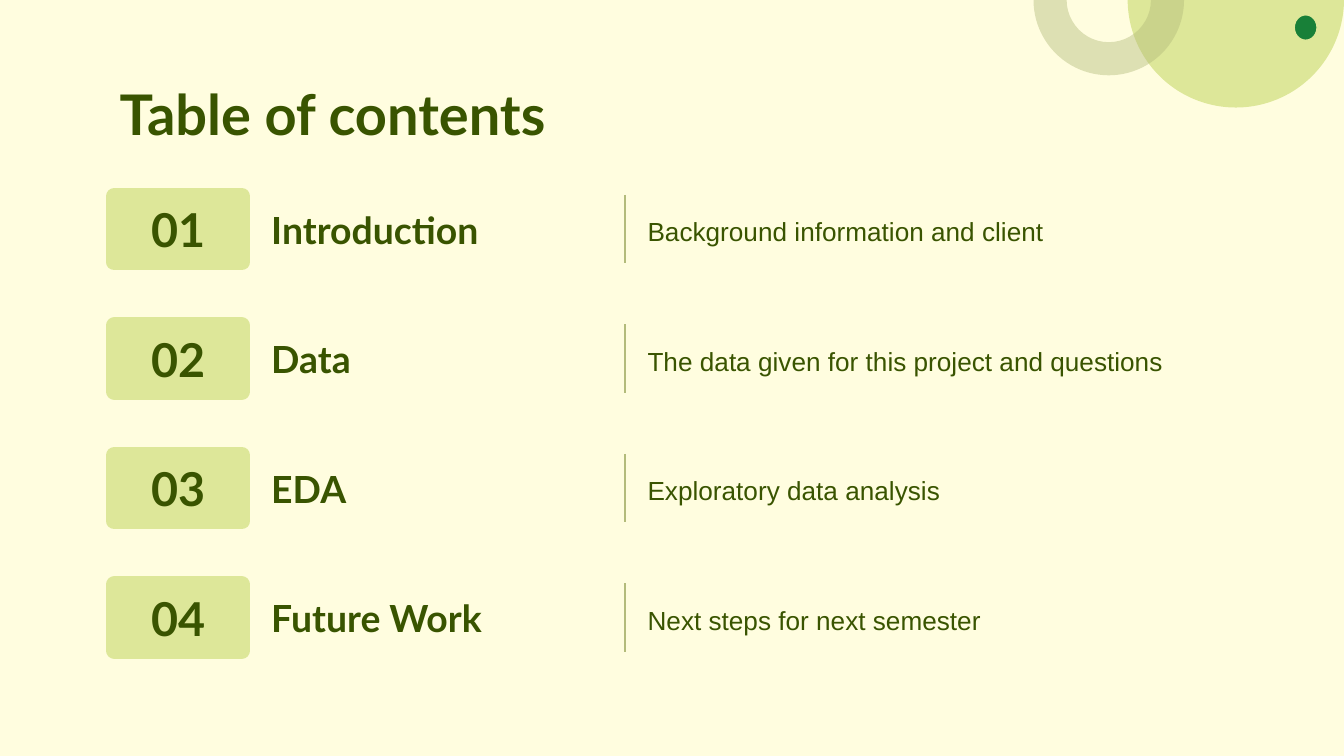
import dataclasses
import pptx
import pptx.dml.color
import pptx.enum.shapes
import pptx.enum.text
import pptx.oxml
import pptx.util

Inches = pptx.util.Inches
Pt = pptx.util.Pt
Shape = pptx.enum.shapes.MSO_SHAPE
Align = pptx.enum.text.PP_ALIGN
Anchor = pptx.enum.text.MSO_ANCHOR


@dataclasses.dataclass(frozen=True)
class Theme:
    """Colours, fonts and type sizes."""
    back: str = "FFFDDF"
    lime: str = "DDE799"
    olive: str = "B3BB7B"
    dark: str = "395400"
    green: str = "188038"
    head: str = "Lato"
    body: str = "Arial"
    title: int = 30
    number: int = 25
    topic: int = 20
    note: int = 14


THEME = Theme()
ITEMS = [
    ("Introduction", "Background information and client"),
    ("Data", "The data given for this project and questions"),
    ("EDA", "Exploratory data analysis"),
    ("Future Work", "Next steps for next semester"),
]


def rgb(code):
    """Turn a hex code into a colour."""
    return pptx.dml.color.RGBColor.from_string(code)


def make(tag, **attrs):
    """Make a drawing element."""
    item = pptx.oxml.parse_xml(
        f'<a:{tag} xmlns:a="http://schemas.openxmlformats.org/drawingml/2006/main"/>')
    for name, value in attrs.items():
        item.set(name, value)
    return item


def write(shape, text, size, face, bold=True, align=Align.LEFT, anchor=Anchor.MIDDLE):
    """Fill a shape with one styled paragraph."""
    frame = shape.text_frame
    frame.text = text
    frame.word_wrap = True
    frame.auto_size = pptx.enum.text.MSO_AUTO_SIZE.NONE
    frame.vertical_anchor = anchor
    frame.margin_left = frame.margin_right = Inches(0.1)
    frame.margin_top = frame.margin_bottom = Inches(0.1)
    line = frame.paragraphs[0]
    line.alignment = align
    line.font.name = face
    line.font.size = Pt(size)
    line.font.bold = bold
    line.font.color.rgb = rgb(THEME.dark)
    return line


def draw(slide, kind, box, fill, edge=None, width=0):
    """Add a flat shape with an optional outline."""
    shape = slide.shapes.add_shape(kind, *map(Inches, box))
    shape.shadow.inherit = False
    shape.fill.solid()
    shape.fill.fore_color.rgb = rgb(fill)
    if edge:
        shape.line.color.rgb = rgb(edge)
        shape.line.width = Pt(width)
    else:
        shape.line.fill.background()
    return shape


def add_art(slide, left, top):
    """Place the corner circles around the slide's top edge."""
    disc = draw(slide, Shape.PIE, (left + 0.7, top - 0.81, 1.61, 1.61), THEME.lime)
    disc.adjustments[0], disc.adjustments[1] = 0, 108
    ring = draw(slide, Shape.BLOCK_ARC, (left, top - 0.56, 1.12, 1.12), THEME.olive)
    ring.adjustments[0], ring.adjustments[1], ring.adjustments[2] = 108, 0, 0.22
    ring.rotation = 180
    ring.fill.fore_color._xFill[0].append(make("alpha", val="44000"))
    draw(slide, Shape.OVAL, (left + 1.94, top + 0.11, 0.17, 0.19),
         THEME.green, THEME.lime, 0.75)


def add_title(slide, left, top, width, height):
    """Place the slide title."""
    title = slide.shapes.title
    title.left, title.top = Inches(left), Inches(top)
    title.width, title.height = Inches(width), Inches(height)
    write(title, "Table of contents", THEME.title, THEME.head, anchor=Anchor.TOP)


def add_row(slide, left, top, height, number, topic, note):
    """Place one entry: number tile, topic, rule and note."""
    tile = draw(slide, Shape.RECTANGLE, (left, top, 0.95, height),
                THEME.lime, THEME.lime, 9)
    tile.line._ln.append(make("round"))
    write(tile, f"{number:02}", THEME.number, THEME.head, align=Align.CENTER)
    label = slide.shapes.add_textbox(
        *map(Inches, (left + 1.07, top, 2.7, height)))
    write(label, topic, THEME.topic, THEME.head)
    rule = slide.shapes.add_connector(
        pptx.enum.shapes.MSO_CONNECTOR.STRAIGHT,
        *map(Inches, (left + 3.8, top - 0.01, left + 3.8, top + height + 0.01)))
    rule.line.color.rgb = rgb(THEME.olive)
    rule.line.width = Pt(1.5)
    rule._element.spPr.append(make("effectLst"))
    detail = slide.shapes.add_textbox(
        *map(Inches, (left + 3.87, top, 4.5, height)))
    line = write(detail, note, THEME.note, THEME.body, bold=False)
    line.line_spacing = 1.15


def add_list(slide, left, top, height):
    """Spread the entries evenly down the given height."""
    tall = 0.49
    step = (height - tall) / (len(ITEMS) - 1)
    for index, (topic, note) in enumerate(ITEMS):
        add_row(slide, left, top + index * step, tall, index + 1, topic, note)


def main():
    """Build and save the slide."""
    deck = pptx.Presentation()
    deck.slide_width, deck.slide_height = Inches(10), Inches(10 * 9 / 16)
    slide = deck.slides.add_slide(deck.slide_layouts.get_by_name("Title Only"))
    slide.background.fill.solid()
    slide.background.fill.fore_color.rgb = rgb(THEME.back)
    add_art(slide, 7.69, 0)
    add_title(slide, 0.79, 0.49, 8.43, 0.63)
    add_list(slide, 0.85, 1.46, 3.38)
    deck.save("out.pptx")


if __name__ == "__main__":
    main()
